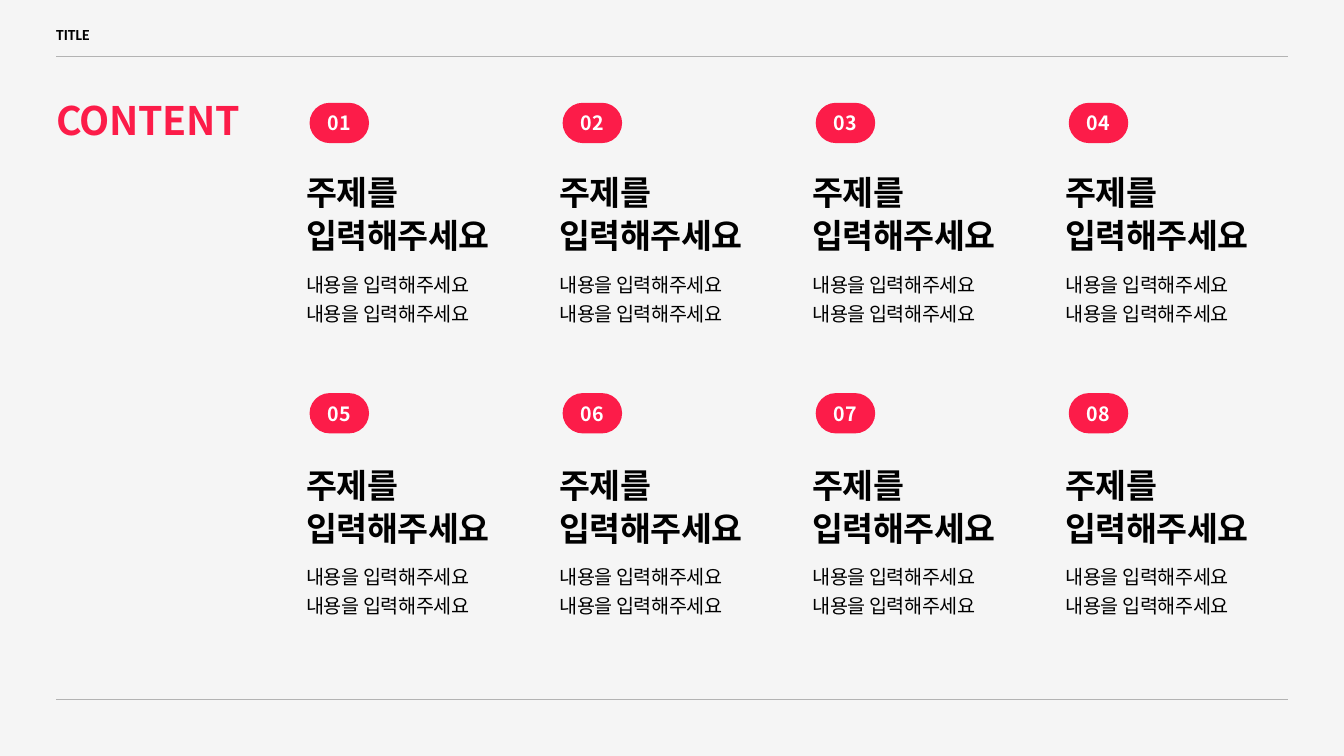
import pptx
import pptx.dml.color
import pptx.enum.shapes
import pptx.enum.text
import pptx.oxml
import pptx.oxml.ns
import pptx.util
from dataclasses import dataclass

Inches = pptx.util.Inches
Pt = pptx.util.Pt
RGB = pptx.dml.color.RGBColor.from_string
ALIGN = pptx.enum.text.PP_ALIGN
ANCHOR = pptx.enum.text.MSO_ANCHOR
SHAPE = pptx.enum.shapes.MSO_SHAPE
CONNECTOR = pptx.enum.shapes.MSO_CONNECTOR


@dataclass(frozen=True)
class Theme:
    background: str = "F5F5F5"
    rule: str = "B3B3B3"
    accent: str = "FC1C49"
    ink: str = "000000"
    on_accent: str = "FFFFFF"
    latin_font: str = "Calibri"
    korean_font: str = "Noto Sans CJK KR"
    label_size: float = 11
    title_size: float = 28
    heading_size: float = 24
    body_size: float = 14


theme = Theme()


def write(sp, text, size, font=theme.korean_font, color=theme.ink, bold=False,
          spacing=0, leading=None, align=ALIGN.LEFT, anchor=ANCHOR.TOP, top=0.05):
    """Fill a shape with one paragraph; spacing and leading are in points, top in inches."""
    tf = sp.text_frame
    tf.word_wrap = True
    tf.vertical_anchor = anchor
    tf.margin_top = Inches(top)
    p = tf.paragraphs[0]
    p.alignment = align
    if leading:
        p.line_spacing = Pt(leading)
    for i, line in enumerate(text.split("\n")):
        if i:
            p.add_line_break()
        r = p.add_run()
        r.text = line
        r.font.size = Pt(size)
        r.font.name = font
        r.font.bold = bold
        r.font.color.rgb = RGB(color)
        rpr = r.font._element
        if spacing:
            rpr.set("spc", str(round(spacing * 100)))
        ea = pptx.oxml.parse_xml(f'<a:ea {pptx.oxml.ns.nsdecls("a")} typeface="{font}"/>')
        rpr.find(pptx.oxml.ns.qn("a:latin")).addnext(ea)


prs = pptx.Presentation()
prs.slide_width = Inches(13.33)
prs.slide_height = Inches(7.5)
s = prs.slides.add_slide(prs.slide_layouts[6])
s.background.fill.solid()
s.background.fill.fore_color.rgb = RGB(theme.background)

# Header and footer rules
for y in (0.56, 6.94):
    rule = s.shapes.add_connector(CONNECTOR.STRAIGHT, Inches(0.56), Inches(y), Inches(12.77), Inches(y))
    rule.line.color.rgb = RGB(theme.rule)
    rule.line.width = Pt(0.5)
    rule._element.spPr.append(pptx.oxml.parse_xml(f'<a:effectLst {pptx.oxml.ns.nsdecls("a")}/>'))

label = s.shapes.add_textbox(Inches(0.46), Inches(0.2), Inches(5.84), Inches(0.28))
write(label, "TITLE", theme.label_size, font=theme.latin_font, bold=True)

title = s.shapes.add_textbox(Inches(0.46), Inches(0.91), Inches(2.49), Inches(0.55))
write(title, "CONTENT", theme.title_size, color=theme.accent, bold=True, spacing=-0.3)

# Eight topics in a grid of two rows by four columns
COLUMNS = 4
COLUMN_PITCH = 2.51
ROWS = [(1.02, 1.68), (3.9, 4.58)]  # badge top, heading top
HEADING_HEIGHT = 0.92

for row, (badge_top, heading_top) in enumerate(ROWS):
    for column in range(COLUMNS):
        offset = column * COLUMN_PITCH
        left = Inches(2.94 + offset)

        badge = s.shapes.add_shape(SHAPE.ROUNDED_RECTANGLE, Inches(3.07 + offset), Inches(badge_top),
                                   Inches(0.59), Inches(0.4))
        badge.adjustments[0] = 0.5
        badge.shadow.inherit = False
        badge.fill.solid()
        badge.fill.fore_color.rgb = RGB(theme.accent)
        badge.line.fill.background()
        write(badge, f"{row * COLUMNS + column + 1:02d}", theme.body_size, color=theme.on_accent,
              bold=True, align=ALIGN.CENTER, anchor=ANCHOR.MIDDLE)

        heading = s.shapes.add_textbox(left, Inches(heading_top), Inches(2.47), Inches(HEADING_HEIGHT))
        write(heading, "주제를\n입력해주세요", theme.heading_size, bold=True, spacing=-0.3,
              leading=30.8, top=0)

        body = s.shapes.add_textbox(left, Inches(heading_top + HEADING_HEIGHT), Inches(2.47), Inches(0.9))
        write(body, "내용을 입력해주세요\n내용을 입력해주세요", theme.body_size, spacing=-0.3, leading=20.8)

prs.save("out.pptx")
